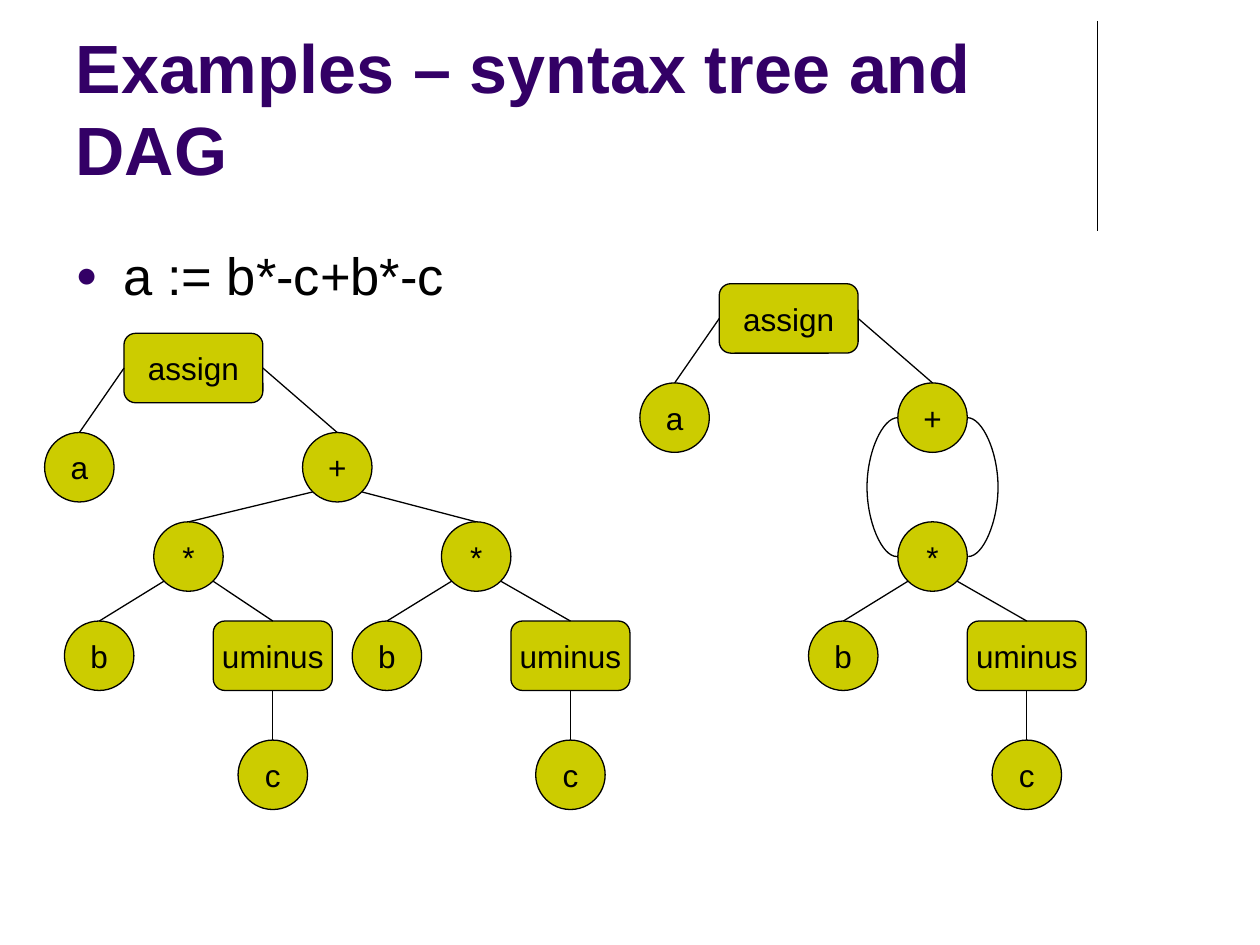
from dataclasses import dataclass
from lxml import etree
from pptx import Presentation
from pptx.dml.color import RGBColor
from pptx.enum.shapes import MSO_CONNECTOR, MSO_SHAPE
from pptx.enum.text import MSO_ANCHOR, MSO_AUTO_SIZE, PP_ALIGN
from pptx.oxml.ns import qn
from pptx.util import Inches, Pt

STRAIGHT, CURVE = MSO_CONNECTOR.STRAIGHT, MSO_CONNECTOR.CURVE
OVAL, ROUNDED = MSO_SHAPE.OVAL, MSO_SHAPE.ROUNDED_RECTANGLE
TOP, MIDDLE, BOTTOM = MSO_ANCHOR.TOP, MSO_ANCHOR.MIDDLE, MSO_ANCHOR.BOTTOM
LEFT, CENTER = PP_ALIGN.LEFT, PP_ALIGN.CENTER


@dataclass(frozen=True)
class Theme:
    font: str = "Arial"
    heading: str = "330066"
    ink: str = "000000"
    node: str = "CCCC00"
    title_size: int = 39
    body_size: int = 30
    node_size: int = 18
    stroke: float = 0.75


theme = Theme()
deck = Presentation()
deck.slide_width, deck.slide_height = Inches(10), Inches(7.5)
slide = deck.slides.add_slide(deck.slide_layouts[1])
UNIT = deck.slide_width / 127
FIRST_ROW = 32.1
NODE = 7


def write(holder, text, size, color=theme.ink, bold=False, align=LEFT, anchor=TOP, wrap=True):
    frame = holder.text_frame
    frame.text = text
    frame.auto_size = MSO_AUTO_SIZE.NONE
    frame.word_wrap, frame.vertical_anchor = wrap, anchor
    paragraph = frame.paragraphs[0]
    paragraph.alignment = align
    font = paragraph.runs[0].font
    font.name, font.size, font.bold = theme.font, Pt(size), bold
    font.color.rgb = RGBColor.from_string(color)
    return paragraph


def connect(start, end, kind=STRAIGHT):
    link = slide.shapes.add_connector(kind, *(round(n * UNIT) for n in (*start, *end)))
    link.line.color.rgb = RGBColor.from_string(theme.ink)
    link.line.width = Pt(theme.stroke)
    etree.SubElement(link._element.spPr, qn("a:effectLst"))
    return link


connect((110.6, 2.1), (110.6, 23.3))

title, body = slide.placeholders
title.left, title.top = Inches(0.5), Inches(0.13)
title.width, title.height = Inches(8.25), Inches(1.42)
write(title, "Examples – syntax tree and DAG", theme.title_size,
      color=theme.heading, bold=True, anchor=BOTTOM)

body.left, body.top = Inches(0.5), Inches(1.88)
body.width, body.height = Inches(9), Inches(0.61)
statement = write(body, "a := b*-c+b*-c", theme.body_size)
statement.space_before = Pt(theme.body_size * 0.2)
bullet = statement._p.get_or_add_pPr()
bullet.set("marL", str(Inches(0.38)))
bullet.set("indent", str(-Inches(0.38)))
bullet_color = etree.SubElement(bullet, qn("a:buClr"))
etree.SubElement(bullet_color, qn("a:srgbClr"), val=theme.heading)
etree.SubElement(bullet, qn("a:buSzPct"), val="70000")
etree.SubElement(bullet, qn("a:buFont"), typeface=theme.font)
etree.SubElement(bullet, qn("a:buChar"), char="●")

WIDTHS = {"assign": 14, "uminus": 12}
syntax_tree = {
    "assign": ("assign", 19.5, 5), "a": ("a", 8, 15), "plus": ("+", 34, 15),
    "times 1": ("*", 19, 24), "times 2": ("*", 48, 24),
    "b 1": ("b", 10, 34), "uminus 1": ("uminus", 27.5, 34), "c 1": ("c", 27.5, 46),
    "b 2": ("b", 39, 34), "uminus 2": ("uminus", 57.5, 34), "c 2": ("c", 57.5, 46),
}
syntax_edges = [
    ("assign", "a"), ("assign", "plus"), ("plus", "times 1"), ("plus", "times 2"),
    ("times 1", "b 1"), ("times 1", "uminus 1"), ("uminus 1", "c 1"),
    ("times 2", "b 2"), ("times 2", "uminus 2"), ("uminus 2", "c 2"),
]
dag = {
    "assign": ("assign", 79.5, 0), "a": ("a", 68, 10), "plus": ("+", 94, 10),
    "times": ("*", 94, 24), "b": ("b", 85, 34),
    "uminus": ("uminus", 103.5, 34), "c": ("c", 103.5, 46),
}
dag_edges = [("assign", "a"), ("assign", "plus"), ("times", "b"),
             ("times", "uminus"), ("uminus", "c")]

for nodes, edges in ((syntax_tree, syntax_edges), (dag, dag_edges)):
    for label, column, row in nodes.values():
        width = WIDTHS.get(label, NODE)
        box = (column - width / 2, FIRST_ROW + row - NODE / 2, width, NODE)
        node = slide.shapes.add_shape(ROUNDED if label in WIDTHS else OVAL,
                                      *(round(n * UNIT) for n in box))
        node.shadow.inherit = False
        node.fill.solid()
        node.fill.fore_color.rgb = RGBColor.from_string(theme.node)
        node.line.color.rgb = RGBColor.from_string(theme.ink)
        node.line.width = Pt(theme.stroke)
        write(node, label, theme.node_size, align=CENTER, anchor=MIDDLE, wrap=False)
    for parent, child in edges:
        label, column, row = nodes[parent]
        child_column, child_row = nodes[child][1:]
        side = (child_column > column) - (child_column < column)
        if label == "assign":
            reach, drop = WIDTHS[label] / 2, 0
        elif label == "uminus":
            reach, drop = 0, NODE / 2
        else:
            reach = drop = NODE / 2 * 0.71
        connect((column + side * reach, FIRST_ROW + row + drop),
                (child_column, FIRST_ROW + child_row - NODE / 2))

BULGE, SKEW = 3.1, 0.1
plus_column, plus_row = dag["plus"][1:]
times_row = dag["times"][2]
for side in (-1, 1):
    edge = plus_column + side * NODE / 2
    arc = connect((edge, FIRST_ROW + plus_row),
                  (edge + side * SKEW, FIRST_ROW + times_row), kind=CURVE)
    guides = arc._element.spPr.find(qn("a:prstGeom")).get_or_add_avLst()
    etree.SubElement(guides, qn("a:gd"), name="adj1",
                     fmla=f"val {round(BULGE / SKEW * 100000)}")

deck.save("out.pptx")
